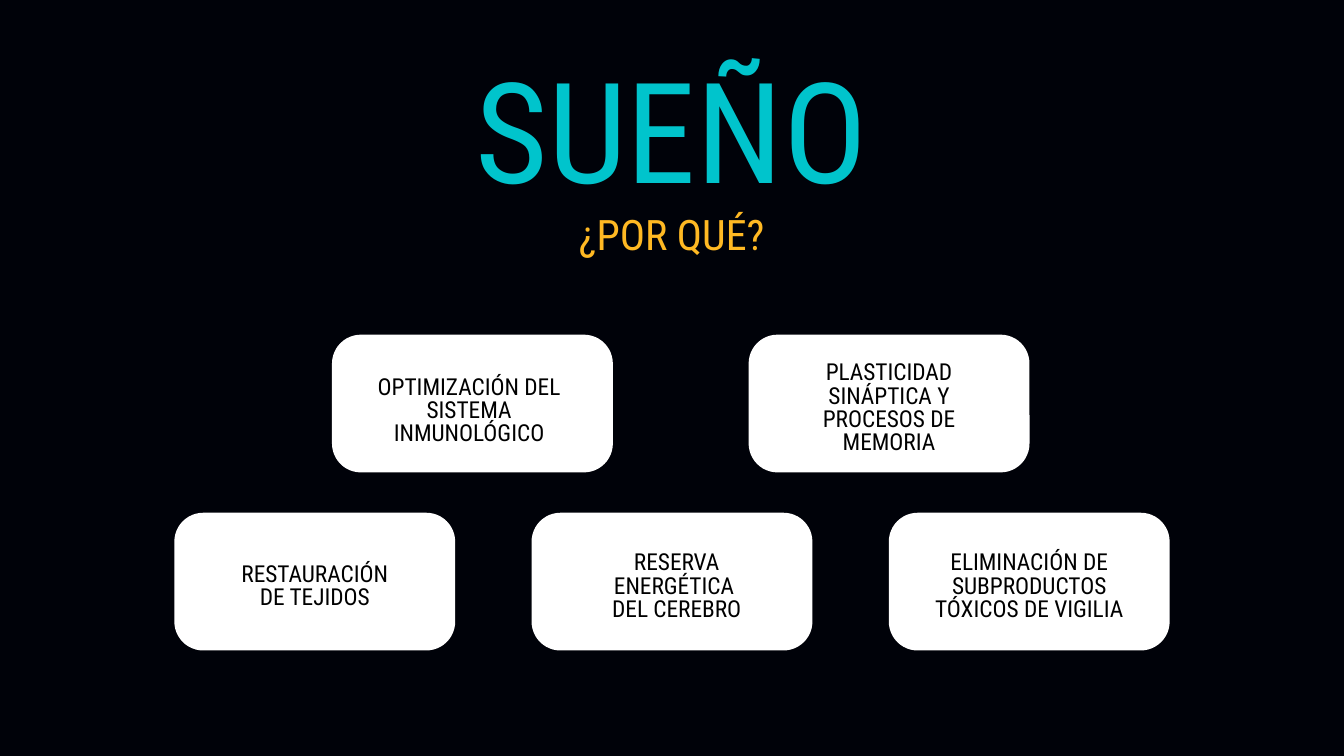
from pptx import Presentation
from pptx.dml.color import RGBColor
from pptx.enum.shapes import MSO_SHAPE
from pptx.enum.text import MSO_ANCHOR, PP_ALIGN
from pptx.util import Inches, Pt

NIGHT = RGBColor(0x00, 0x02, 0x09)
WHITE = RGBColor(0xFF, 0xFF, 0xFF)
BLACK = RGBColor(0x00, 0x00, 0x00)
TURQUOISE = RGBColor(0x00, 0xC4, 0xCC)
AMBER = RGBColor(0xFF, 0xB9, 0x23)
FONT = "Roboto Condensed"

# Grid of square cells, 100 columns across the slide
COLUMNS, ROWS = 100, 56.25
CELL = 0.2
CARD_WIDTH, CARD_HEIGHT = 20.9, 10.25
CARD_ROUNDING = 0.21
LABEL_WIDTH, LABEL_HEIGHT = 16.85, 17.25
HEADING_LEFT, HEADING_WIDTH = 11.45, 77.05

# Card rows: top, centre column, pitch, cards (label lines, label nudge)
CARD_ROWS = [
    (24.9, 50.65, 31, [
        (["OPTIMIZACIÓN DEL SISTEMA INMUNOLÓGICO"], (-0.25, 0.2)),
        (["PLASTICIDAD", "SINÁPTICA Y", "PROCESOS DE", "MEMORIA"], (0, 0)),
    ]),
    (38.15, 50, 26.58, [
        (["RESTAURACIÓN", "DE TEJIDOS"], (0, 0)),
        (["RESERVA", "ENERGÉTICA ", "DEL CEREBRO"], (0.35, 0)),
        (["ELIMINACIÓN DE SUBPRODUCTOS TÓXICOS DE VIGILIA"], (0, 0)),
    ]),
]


def cells(*counts):
    return [Inches(count * CELL) for count in counts]


def add_text(shapes, area, lines, size, spacing, color, margin=0, anchor=MSO_ANCHOR.TOP):
    frame = shapes.add_textbox(*cells(*area)).text_frame
    frame.word_wrap = True
    frame.vertical_anchor = anchor
    frame.margin_left = frame.margin_right = Inches(margin)
    frame.margin_top = frame.margin_bottom = Inches(margin)
    for index, line in enumerate(lines):
        para = frame.add_paragraph() if index else frame.paragraphs[0]
        para.alignment = PP_ALIGN.CENTER
        para.line_spacing = Pt(spacing)
        span = para.add_run()
        span.text = line
        span.font.name = FONT
        span.font.size = Pt(size)
        span.font.color.rgb = color


def add_card(page, left, top, lines, nudge):
    shapes = page.shapes.add_group_shape().shapes
    box = shapes.add_shape(MSO_SHAPE.ROUNDED_RECTANGLE,
                           *cells(left, top, CARD_WIDTH, CARD_HEIGHT))
    box.adjustments[0] = CARD_ROUNDING
    box.shadow.inherit = False
    box.fill.solid()
    box.fill.fore_color.rgb = WHITE
    box.line.fill.background()

    label_left = left + (CARD_WIDTH - LABEL_WIDTH) / 2 + nudge[0]
    label_top = top - 3.1 + nudge[1]
    add_text(shapes, (label_left, label_top, LABEL_WIDTH, LABEL_HEIGHT),
             lines, 25, 25, BLACK, 0.06, MSO_ANCHOR.MIDDLE)


def add_card_row(page, top, centre, pitch, cards):
    first = centre - (pitch * (len(cards) - 1) + CARD_WIDTH) / 2
    for index, (lines, nudge) in enumerate(cards):
        add_card(page, first + index * pitch, top, lines, nudge)


def main():
    deck = Presentation()
    deck.slide_width, deck.slide_height = cells(COLUMNS, ROWS)
    page = deck.slides.add_slide(deck.slide_layouts[6])
    page.background.fill.solid()
    page.background.fill.fore_color.rgb = NIGHT

    # Title and question
    add_text(page.shapes, (HEADING_LEFT, 3.25, HEADING_WIDTH, 14.9),
             ["SUEÑO"], 150, 180, TURQUOISE)
    add_text(page.shapes, (HEADING_LEFT, 15.5, HEADING_WIDTH, 4.5),
             ["¿POR QUÉ?"], 45, 54, AMBER)

    # Reasons
    for card_row in CARD_ROWS:
        add_card_row(page, *card_row)

    deck.save("out.pptx")


if __name__ == "__main__":
    main()
